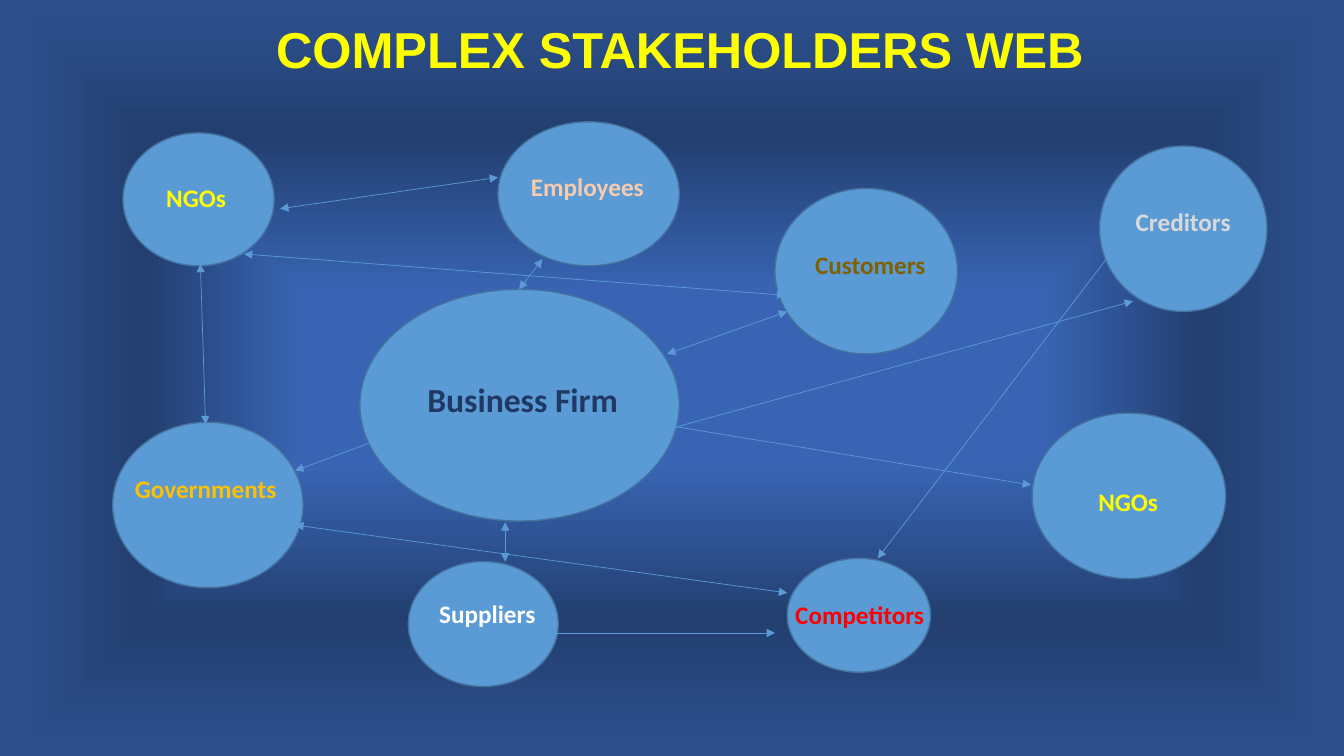
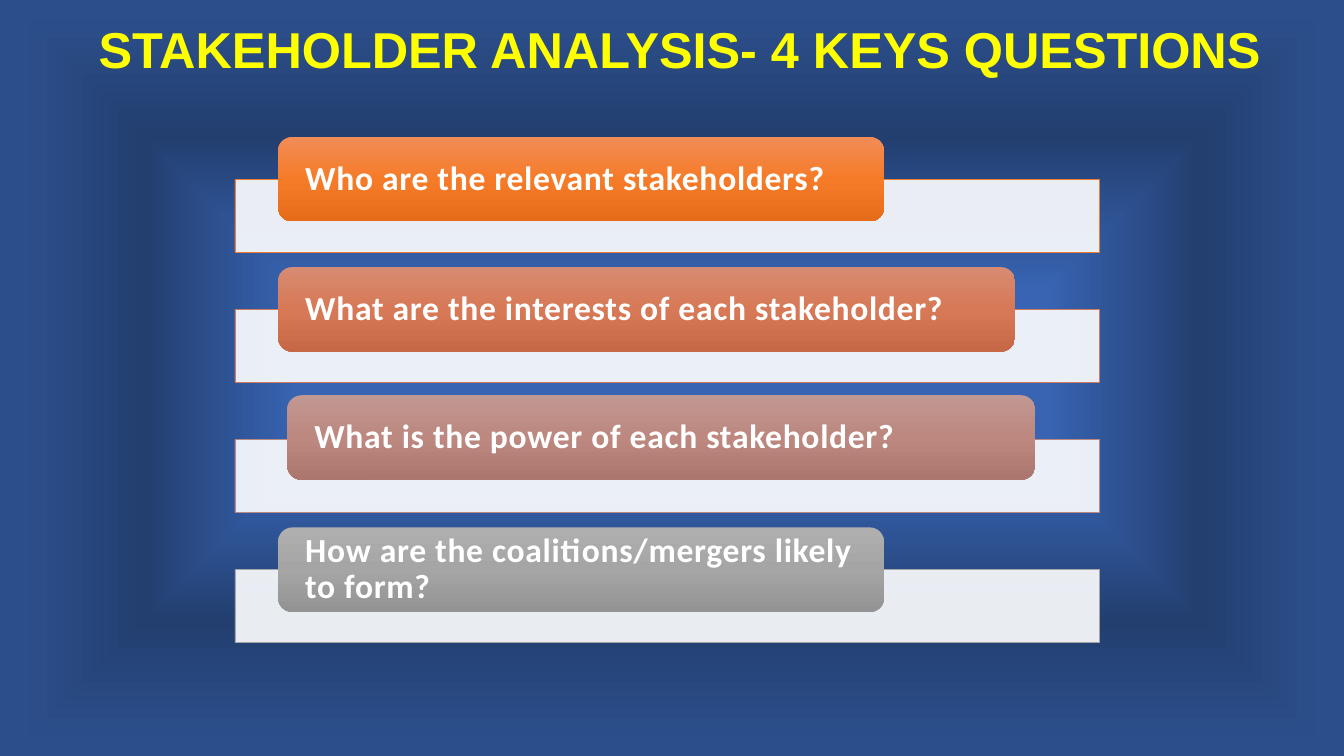
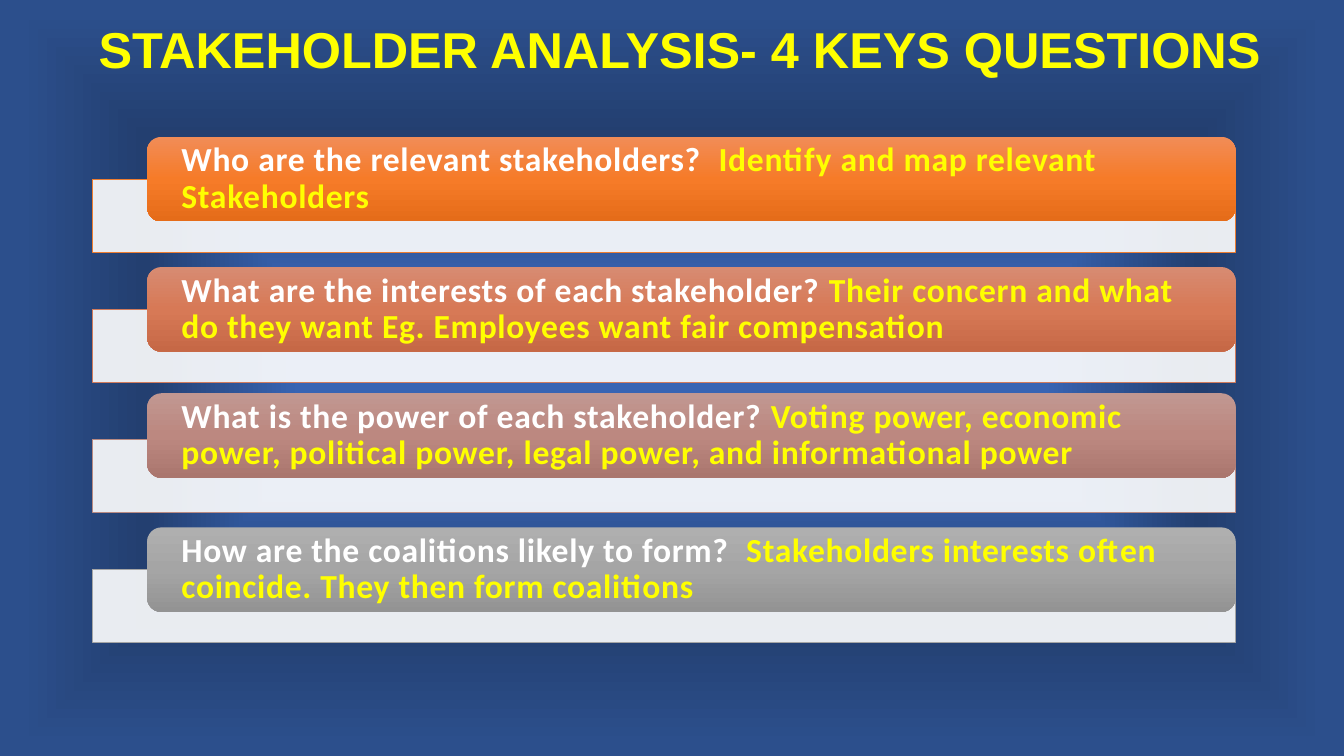
import pptx
import pptx.dml.color
import pptx.enum.shapes
import pptx.enum.text
import pptx.oxml
import pptx.oxml.ns
import pptx.util
from lxml import etree

Cm = pptx.util.Cm
Pt = pptx.util.Pt
RGBColor = pptx.dml.color.RGBColor
qn = pptx.oxml.ns.qn
Shape = pptx.enum.shapes.MSO_SHAPE
Align = pptx.enum.text.PP_ALIGN
Anchor = pptx.enum.text.MSO_ANCHOR

YELLOW = RGBColor(0xFF, 0xFF, 0x00)
WHITE = RGBColor(0xFF, 0xFF, 0xFF)
BLUE = RGBColor(0x5B, 0x9B, 0xD5)
BLUE_EDGE = RGBColor(0x43, 0x73, 0x9E)
NAVY = RGBColor(0x20, 0x38, 0x64)
PEACH = RGBColor(0xF8, 0xCB, 0xAD)
GOLD = RGBColor(0xFF, 0xC0, 0x00)
SILVER = RGBColor(0xD9, 0xD9, 0xD9)
OLIVE = RGBColor(0x80, 0x60, 0x00)
RED = RGBColor(0xFF, 0x00, 0x00)
BACKDROP_CENTRE = RGBColor(0x38, 0x64, 0xB3)
BACKDROP_DARK = RGBColor(0x23, 0x3F, 0x70)
BACKDROP_EDGE = RGBColor(0x2C, 0x4F, 0x8C)

ROW_COLOURS = [
    (RGBColor(0xED, 0x7D, 0x31), RGBColor(0xF1, 0x8C, 0x57), RGBColor(0xF6, 0x7B, 0x28), RGBColor(0xE5, 0x6C, 0x19)),
    (RGBColor(0xD1, 0x7B, 0x5C), RGBColor(0xD7, 0x8B, 0x72), RGBColor(0xD7, 0x79, 0x56), RGBColor(0xC6, 0x68, 0x46)),
    (RGBColor(0xB9, 0x8A, 0x82), RGBColor(0xC1, 0x97, 0x91), RGBColor(0xBC, 0x88, 0x80), RGBColor(0xAA, 0x76, 0x6E)),
    (RGBColor(0xA5, 0xA5, 0xA5), RGBColor(0xAF, 0xAF, 0xAF), RGBColor(0xA5, 0xA5, 0xA5), RGBColor(0x93, 0x93, 0x93)),
]


def set_gradient(properties, stops, direction):
    marks = "".join(
        f'<a:gs pos="{percent * 1000}"><a:srgbClr val="{colour}"/></a:gs>'
        for percent, colour in stops
    )
    gradient = pptx.oxml.parse_xml(
        '<a:gradFill xmlns:a="http://schemas.openxmlformats.org/drawingml/2006/main" rotWithShape="1">'
        f"<a:gsLst>{marks}</a:gsLst>{direction}</a:gradFill>"
    )
    properties.replace(properties.find(qn("a:solidFill")), gradient)


def add_titled_page(heading):
    page = deck.slides.add_slide(title_layout)
    title = page.shapes.title
    title.left, title.top, title.width, title.height = Cm(1.85), Cm(0.3), Cm(30.58), Cm(2.03)
    title.text_frame.text = heading
    title.text_frame.vertical_anchor = Anchor.MIDDLE
    para = title.text_frame.paragraphs[0]
    para.alignment = Align.CENTER
    para.line_spacing = 0.9
    font = para.runs[0].font
    font.name, font.size, font.bold = "Arial", Pt(36), True
    font.color.rgb = YELLOW
    return page


deck = pptx.Presentation()
deck.slide_width, deck.slide_height = Cm(33.87), Cm(19.05)
title_layout = deck.slide_layouts.get_by_name("Title Only")
master = deck.slide_master
master.background.fill.solid()
set_gradient(
    master.element.find(".//" + qn("p:bgPr")),
    [(0, BACKDROP_CENTRE), (23, BACKDROP_CENTRE), (64, BACKDROP_DARK), (97, BACKDROP_EDGE)],
    '<a:path path="shape"><a:fillToRect l="50000" t="50000" r="50000" b="50000"/></a:path>',
)

page = add_titled_page("COMPLEX STAKEHOLDERS WEB")
stakeholders = [
    ("Business Firm", NAVY, 24, (9.07, 7.29, 8.05, 5.84), (10.52, 9.42, 5.97, 1.27)),
    ("NGOs", YELLOW, 18, (3.1, 3.35, 3.81, 3.35), (3.94, 4.47, 2.24, 1.02)),
    ("Governments", GOLD, 18, (2.84, 10.64, 4.8, 4.17), (3.15, 11.81, 4.27, 1.02)),
    ("Suppliers", WHITE, 18, (10.29, 14.15, 3.78, 3.15), (10.82, 14.96, 3.35, 1.02)),
    ("Employees", PEACH, 18, (12.55, 3.07, 4.57, 3.63), (13.13, 4.19, 3.68, 1.02)),
    ("Competitors", RED, 18, (19.84, 14.07, 3.61, 2.87), (19.79, 14.99, 4.39, 1.02)),
    ("Customers", OLIVE, 18, (19.53, 4.75, 4.6, 4.17), (20.29, 6.17, 3.84, 1.02)),
    ("Creditors", SILVER, 18, (27.71, 3.68, 4.22, 4.17), (28.37, 5.08, 3.05, 1.02)),
    ("NGOs", YELLOW, 18, (26.01, 10.41, 4.88, 4.17), (27.43, 12.14, 2.24, 1.02)),
]
for name, colour, size, oval_area, label_area in stakeholders:
    oval = page.shapes.add_shape(Shape.OVAL, *map(Cm, oval_area))
    oval.shadow.inherit = False
    oval.fill.solid()
    oval.fill.fore_color.rgb = BLUE
    oval.line.color.rgb = BLUE_EDGE
    oval.line.width = Pt(1)

links = [
    (5.05, 6.65, 5.18, 10.69),
    (12.55, 4.47, 7.06, 5.26),
    (6.15, 6.4, 19.79, 7.44),
    (13.67, 6.53, 13.08, 7.29),
    (10.29, 10.8, 7.44, 11.86),
    (19.84, 14.94, 7.44, 13.23),
    (19.84, 7.85, 16.81, 8.92),
    (28.55, 7.59, 15.62, 11.15),
    (28.04, 6.32, 22.12, 14.07),
    (25.98, 12.22, 15.62, 10.52),
    (19.53, 15.95, 13.61, 15.95),
    (12.73, 13.16, 12.73, 14.15),
]
for ends in links:
    arrow = page.shapes.add_connector(pptx.enum.shapes.MSO_CONNECTOR.STRAIGHT, *map(Cm, ends))
    arrow.line.color.rgb = BLUE
    arrow.line.width = Pt(0.5)
    properties = arrow.element.spPr
    for tag in ("a:headEnd", "a:tailEnd"):
        etree.SubElement(properties.find(qn("a:ln")), qn(tag), type="triangle")
    etree.SubElement(properties, qn("a:effectLst"))

for name, colour, size, oval_area, label_area in stakeholders:
    box = page.shapes.add_textbox(*map(Cm, label_area))
    box.text_frame.word_wrap = True
    box.text_frame.text = name
    font = box.text_frame.paragraphs[0].runs[0].font
    font.name, font.size, font.bold = "Calibri", Pt(size), True
    font.color.rgb = colour

question_pages = [
    (5.92, 21.79, 0.58, [
        (7.01, 0, 15.27, ["Who are the relevant stakeholders?"]),
        (7.01, 0, 18.57, ["What are the interests of each stakeholder?"]),
        (7.24, 0.05, 18.85, ["What is the power of each stakeholder?"]),
        (7.01, 0, 15.27, ["How are the coalitions/mergers likely to form?"]),
    ]),
    (2.34, 28.8, 0.76, [
        (3.71, 0, 27.43, ["Who are the relevant stakeholders?  ",
                          "Identify and map relevant Stakeholders"]),
        (3.71, 0, 27.43, ["What are the interests of each stakeholder? ",
                          "Their concern and what do they want Eg. Employees want fair compensation"]),
        (3.71, 0.1, 27.43, ["What is the power of each stakeholder? ",
                            "Voting power, economic power, political power, legal power, and informational power"]),
        (3.71, 0, 27.43, ["How are the coalitions likely to form?  ",
                          "Stakeholders interests often coincide. They then form coalitions"]),
    ]),
]
ROW_PITCH = 3.28
for bar_left, bar_width, inset, cards in question_pages:
    page = add_titled_page("STAKEHOLDER ANALYSIS- 4 KEYS QUESTIONS")
    for row, (card_left, lift, card_width, wording) in enumerate(cards):
        edge, light, middle, dark = ROW_COLOURS[row]
        offset = row * ROW_PITCH
        bar = page.shapes.add_shape(
            Shape.RECTANGLE, Cm(bar_left), Cm(4.52 + offset), Cm(bar_width), Cm(1.83))
        bar.shadow.inherit = False
        bar.fill.solid()
        bar.fill.fore_color.rgb = WHITE
        etree.SubElement(bar.element.spPr.find(qn("a:solidFill"))[0], qn("a:alpha"), val="90000")
        bar.line.color.rgb = edge
        bar.line.width = Pt(0.5)

        card = page.shapes.add_shape(
            Shape.ROUNDED_RECTANGLE, Cm(card_left), Cm(3.45 + offset - lift), Cm(card_width), Cm(2.13))
        card.shadow.inherit = False
        card.line.fill.background()
        card.fill.solid()
        set_gradient(card.element.spPr, [(0, light), (50, middle), (100, dark)],
                     '<a:lin ang="5400000" scaled="0"/>')
        frame = card.text_frame
        frame.word_wrap = True
        frame.vertical_anchor = Anchor.MIDDLE
        frame.margin_left = frame.margin_right = Cm(inset)
        frame.margin_top = frame.margin_bottom = 0
        para = frame.paragraphs[0]
        para.alignment = Align.LEFT
        para.line_spacing = 0.9
        for words, colour in zip(wording, (WHITE, YELLOW)):
            span = para.add_run()
            span.text = words
            span.font.name, span.font.size, span.font.bold = "Calibri", Pt(24), True
            span.font.color.rgb = colour
            span.font._element.set("spc", "50") if hasattr(span.font, "_element") else span._r.get_or_add_rPr().set("spc", "50")

deck.save("out.pptx")
